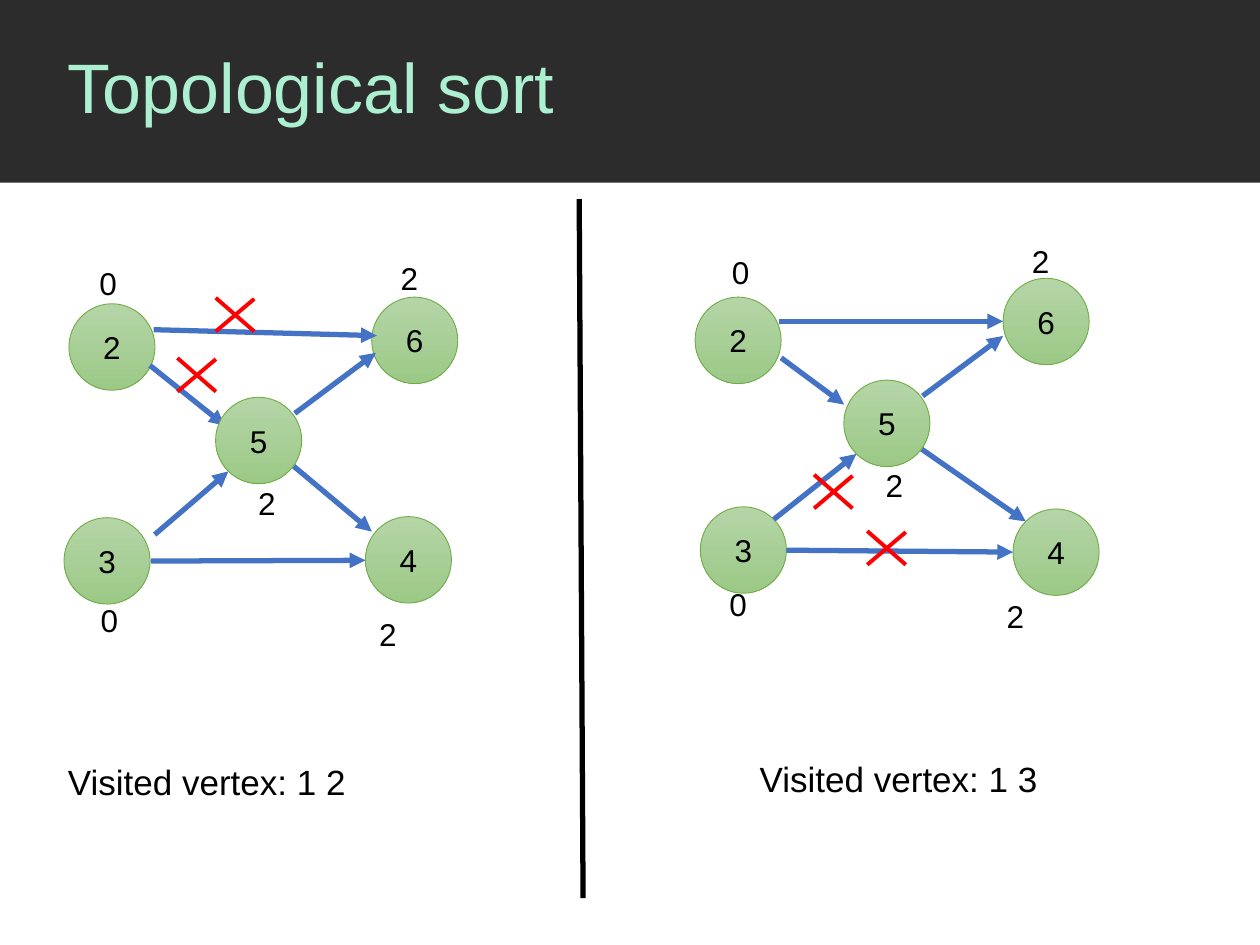
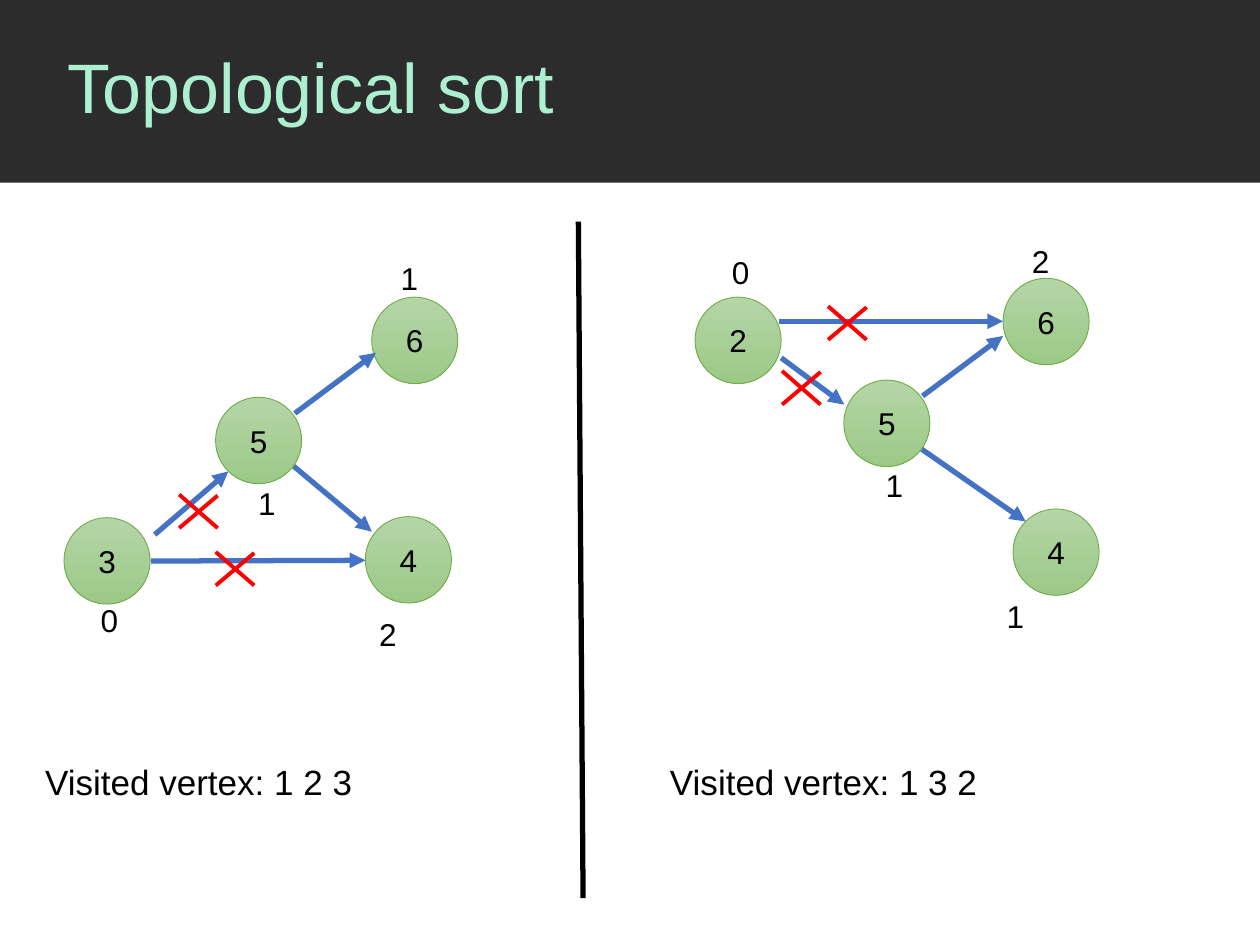
from lxml.etree import SubElement
from pptx import Presentation
from pptx.dml.color import RGBColor
from pptx.enum.shapes import MSO_CONNECTOR, MSO_SHAPE
from pptx.enum.text import MSO_ANCHOR, PP_ALIGN
from pptx.oxml.ns import qn
from pptx.util import Pt

BAND = RGBColor(0x2C, 0x2C, 0x2C)
MINT = RGBColor(0xAD, 0xF0, 0xD1)
NODE_TOP = RGBColor(0xB5, 0xD5, 0xA7)
NODE_BOTTOM = RGBColor(0x9C, 0xC9, 0x87)
NODE_LINE = RGBColor(0x70, 0xAD, 0x47)
BLUE = RGBColor(0x44, 0x72, 0xC4)
RED = RGBColor(0xFF, 0x00, 0x00)
BLACK = RGBColor(0x00, 0x00, 0x00)

TITLE = {"name": "Arial", "size": Pt(40)}
CAPTION = {"name": "Arial", "size": Pt(20)}
NUMBER = {"name": "Arial", "size": Pt(18)}

NODE_W, NODE_H = 49.2, 49.4
CROSS_W, CROSS_H = 22, 19.2

# Vertex -> (left, top) of its circle and of its in-degree label
LEFT_NODES = {6: (212.4, 169.8), 4: (208.8, 295.2), 3: (36.6, 295.8),
              2: (39.4, 173.6), 5: (123.2, 227)}
LEFT_LABELS = {6: (221.8, 144.7), 4: (209.5, 347.8), 3: (50.4, 339.8),
               2: (49.7, 147.6), 5: (140.4, 272.9)}
RIGHT_NODES = {6: (573.2, 159), 4: (578.9, 290.8), 3: (400.2, 289.6),
               2: (397.2, 169.8), 5: (482.2, 217.2)}
RIGHT_LABELS = {6: (582.5, 134.6), 4: (568.1, 337.7), 3: (409.7, 330.5),
                2: (411.1, 141.1), 5: (499, 262.8)}

# (from vertex, to vertex) -> x1, y1, x2, y2
LEFT_EDGES = {(2, 5): (85.7, 208.8, 128.5, 243.2),
              (2, 6): (87.8, 188.4, 215.3, 191.8),
              (3, 4): (86.2, 320.6, 208.8, 320.2),
              (3, 5): (88.4, 305.5, 130.5, 269.4),
              (5, 4): (167.8, 266.4, 212.5, 303.8),
              (5, 6): (168.5, 236.2, 214.8, 201.6)}
RIGHT_EDGES = {(2, 5): (446.4, 204.5, 482.4, 231.2),
               (2, 6): (445, 183.6, 573.2, 183.6),
               (3, 4): (449.4, 314.4, 578.9, 315.5),
               (3, 5): (442.2, 296.8, 489.4, 259.4),
               (5, 4): (526.3, 256.4, 586.2, 298),
               (5, 6): (527.2, 226.3, 573.2, 192)}


def set_all(obj, values):
    for name, value in values.items():
        setattr(obj, name, value)


def write(sp, text, font, color, align=PP_ALIGN.LEFT, anchor=MSO_ANCHOR.TOP):
    tf = sp.text_frame
    set_all(tf, {"word_wrap": True, "vertical_anchor": anchor})
    p = tf.paragraphs[0]
    p.alignment = align
    r = p.add_run()
    r.text = str(text)
    set_all(r.font, font)
    r.font.color.rgb = color
    return p


def add_text(s, text, x, y, w, h, font, color=BLACK, **layout):
    sp = s.shapes.add_textbox(Pt(x), Pt(y), Pt(w), Pt(h))
    return write(sp, text, font, color, **layout)


def add_line(s, x1, y1, x2, y2, color, width, arrow=False):
    cx = s.shapes.add_connector(MSO_CONNECTOR.STRAIGHT, Pt(x1), Pt(y1), Pt(x2), Pt(y2))
    cx.line.color.rgb = color
    cx.line.width = Pt(width)
    spPr = cx._element.spPr
    if arrow:
        SubElement(spPr.get_or_add_ln(), qn("a:tailEnd"), type="triangle")
    SubElement(spPr, qn("a:effectLst"))


def add_node(s, vertex, x, y):
    sp = s.shapes.add_shape(MSO_SHAPE.OVAL, Pt(x), Pt(y), Pt(NODE_W), Pt(NODE_H))
    sp.shadow.inherit = False
    sp.fill.gradient()
    sp.fill.gradient_angle = 270
    for stop, color, position in zip(sp.fill.gradient_stops, (NODE_TOP, NODE_BOTTOM), (0, 1)):
        stop.color.rgb = color
        stop.position = position
    sp.line.color.rgb = NODE_LINE
    sp.line.width = Pt(0.5)
    write(sp, vertex, NUMBER, BLACK, PP_ALIGN.CENTER, MSO_ANCHOR.MIDDLE)


def add_cross(s, x, y):
    add_line(s, x, y, x + CROSS_W, y + CROSS_H, RED, 2.25)
    add_line(s, x + CROSS_W, y + 0.6, x, y + CROSS_H, RED, 2.25)


def add_graph(s, nodes, labels, edges, degrees, crosses):
    """Draw the vertices in degrees, the edges between them and the crosses."""
    for vertex in nodes:
        if vertex in degrees and vertex != 5:
            add_node(s, vertex, *nodes[vertex])
    for (start, end), ends in edges.items():
        if start in degrees and end in degrees:
            add_line(s, *ends, BLUE, 3, arrow=True)
    add_node(s, 5, *nodes[5])  # covers the arrow tips that reach it
    for vertex, degree in degrees.items():
        add_text(s, degree, *labels[vertex], 18, 28.8, NUMBER)
    for corner in crosses:
        add_cross(s, *corner)


def add_slide(prs, title, divider):
    s = prs.slides.add_slide(prs.slide_layouts[6])
    band = s.shapes.add_shape(MSO_SHAPE.RECTANGLE, 0, 0, prs.slide_width, Pt(104.4))
    band.shadow.inherit = False
    band.fill.solid()
    band.fill.fore_color.rgb = BAND
    band.line.fill.background()
    p = add_text(s, title, 31.7, 0, 688.3, 103.7, TITLE, MINT, anchor=MSO_ANCHOR.MIDDLE)
    p.line_spacing = 0.9
    add_line(s, *divider, BLACK, 3)
    return s


def main():
    prs = Presentation()
    prs.slide_width, prs.slide_height = Pt(720), Pt(540)
    left = LEFT_NODES, LEFT_LABELS, LEFT_EDGES
    right = RIGHT_NODES, RIGHT_LABELS, RIGHT_EDGES

    s = add_slide(prs, "Topological sort", (331, 113.8, 333.2, 513.2))
    degrees = {4: 2, 5: 2, 6: 2, 3: 0, 2: 0}
    add_graph(s, *left, degrees, [(101.4, 204.6), (123.3, 170.2)])
    add_graph(s, *right, degrees, [(465.2, 271.3), (495.6, 303.5)])
    add_text(s, "Visited vertex: 1 2", 31.7, 431.3, 187.2, 31.7, CAPTION)
    add_text(s, "Visited vertex: 1 3", 427, 429.1, 187.2, 31.7, CAPTION)

    s = add_slide(prs, "Topological sort", (330.5, 126.7, 333.2, 513.2))
    add_graph(s, *left, {4: 2, 5: 1, 6: 1, 3: 0}, [(102.4, 282.6), (123.3, 315.4)])
    add_graph(s, *right, {4: 1, 5: 1, 6: 2, 2: 0}, [(473.2, 175), (446.9, 212)])
    add_text(s, "Visited vertex: 1 2 3", 18.7, 431.3, 299.5, 31.7, CAPTION)
    add_text(s, "Visited vertex: 1 3 2", 375.8, 431.3, 332, 31.7, CAPTION)

    prs.save("out.pptx")


if __name__ == "__main__":
    main()
